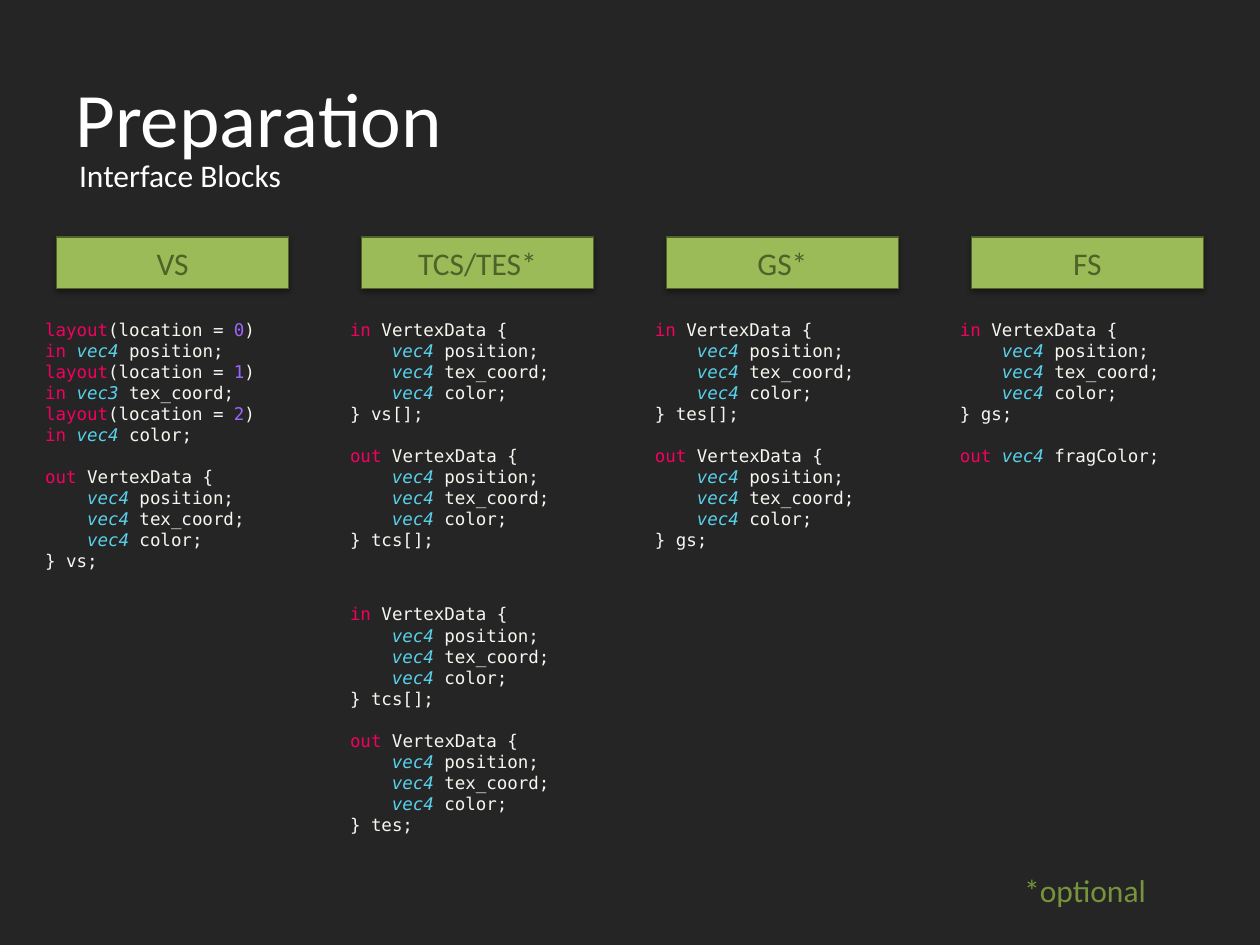
"""Build the slide on interface blocks between shader stages."""
from lxml import etree
from pptx import Presentation
from pptx.dml.color import RGBColor
from pptx.enum.shapes import MSO_SHAPE
from pptx.enum.text import MSO_ANCHOR, PP_ALIGN
from pptx.oxml import parse_xml
from pptx.util import Inches, Pt

RECT = MSO_SHAPE.RECTANGLE
MIDDLE = MSO_ANCHOR.MIDDLE
CENTER = PP_ALIGN.CENTER
BODY, MONO = "Calibri", "DejaVu Sans Mono"
WHITE, PLAIN, GREEN, DARK_GREEN = "FFFFFF", "F6F6EF", "9BBB59", "4F6228"
PINK, CYAN, PURPLE = "F4005F", "58D1EB", "9D65FF"
TOKENS = {"layout": PINK, "in": PINK, "out": PINK, "vec3": CYAN, "vec4": CYAN,
          "0": PURPLE, "1": PURPLE, "2": PURPLE}
SHADOW = ('<a:outerShdw xmlns:a="http://schemas.openxmlformats.org/drawingml/2006/main"'
          ' blurRad="39370" dist="22860" dir="5400000" rotWithShape="0">'
          '<a:srgbClr val="000000"><a:alpha val="35000"/></a:srgbClr></a:outerShdw>')


def rgb(value):
    return RGBColor.from_string(value)


def add_run(p, text, size, font, color):
    r = p.add_run()
    r.text = text
    r.font.size = Pt(size)
    r.font.name = font
    r.font.color.rgb = rgb(color)
    return r


prs = Presentation()
prs.slide_width, prs.slide_height = Inches(10), Inches(7.5)
s = prs.slides.add_slide(prs.slide_layouts[6])
s.background.fill.solid()
s.background.fill.fore_color.rgb = rgb("262526")

labels = [
    ("Preparation", 0.5, 0.3, 9, 1.25, 44, WHITE),
    ("Interface Blocks", 0.53, 1.19, 1.83, 0.4, 18, WHITE),
    ("*optional", 8.03, 6.86, 1.18, 0.4, 18, "77933C"),
]
for text, x, y, w, h, size, color in labels:
    tf = s.shapes.add_textbox(Inches(x), Inches(y), Inches(w), Inches(h)).text_frame
    tf.vertical_anchor = MIDDLE
    add_run(tf.paragraphs[0], text, size, BODY, color)

COLUMN_STEP = 2.42
for i, stage in enumerate(["VS", "TCS/TES*", "GS*", "FS"]):
    sp = s.shapes.add_shape(RECT, Inches(0.45 + i * COLUMN_STEP), Inches(1.88),
                            Inches(1.84), Inches(0.41))
    sp.fill.solid()
    sp.fill.fore_color.rgb = rgb(GREEN)
    sp.line.color.rgb = rgb(DARK_GREEN)
    sp.line.width = Pt(0.75)
    sp.shadow.inherit = False
    sp._element.spPr.find("{*}effectLst").append(parse_xml(SHADOW))
    tf = sp.text_frame
    tf.vertical_anchor = MIDDLE
    p = tf.paragraphs[0]
    p.alignment = CENTER
    add_run(p, stage, 18, BODY, DARK_GREEN)

# "|" separates the runs of a code line
members = ["    |vec4| position;", "    |vec4| tex_coord;", "    |vec4| color;"]
vertex_in = ["in| VertexData {"] + members
vertex_out = ["out| VertexData {"] + members
attributes = []
for n, attribute in enumerate(["vec4| position;", "vec3| tex_coord;", "vec4| color;"]):
    attributes += [f"layout|(location = |{n}|)", f"in| |{attribute}"]

listings = [
    (0, 2.48, 2.12, attributes, vertex_out + ["} vs;"]),
    (1, 2.48, 2.12, vertex_in + ["} vs[];"], vertex_out + ["} tcs[];"]),
    (1, 4.74, 2.12, vertex_in + ["} tcs[];"], vertex_out + ["} tes;"]),
    (2, 2.48, 2.12, vertex_in + ["} tes[];"], vertex_out + ["} gs;"]),
    (3, 2.48, 1.45, vertex_in + ["} gs;"], ["out| |vec4| fragColor;"]),
]
for column, y, h, inputs, outputs in listings:
    tf = s.shapes.add_textbox(Inches(0.26 + column * COLUMN_STEP), Inches(y),
                              Inches(2.26), Inches(h)).text_frame
    tf.word_wrap = True
    for i, line in enumerate(inputs + outputs):
        p = tf.add_paragraph() if i else tf.paragraphs[0]
        if i == len(inputs):
            p.space_before = Pt(12)
        for token in line.split("|"):
            color = TOKENS.get(token, PLAIN)
            r = add_run(p, token, 10, MONO, color)
            r.font.italic = color == CYAN

prs.save("out.pptx")
